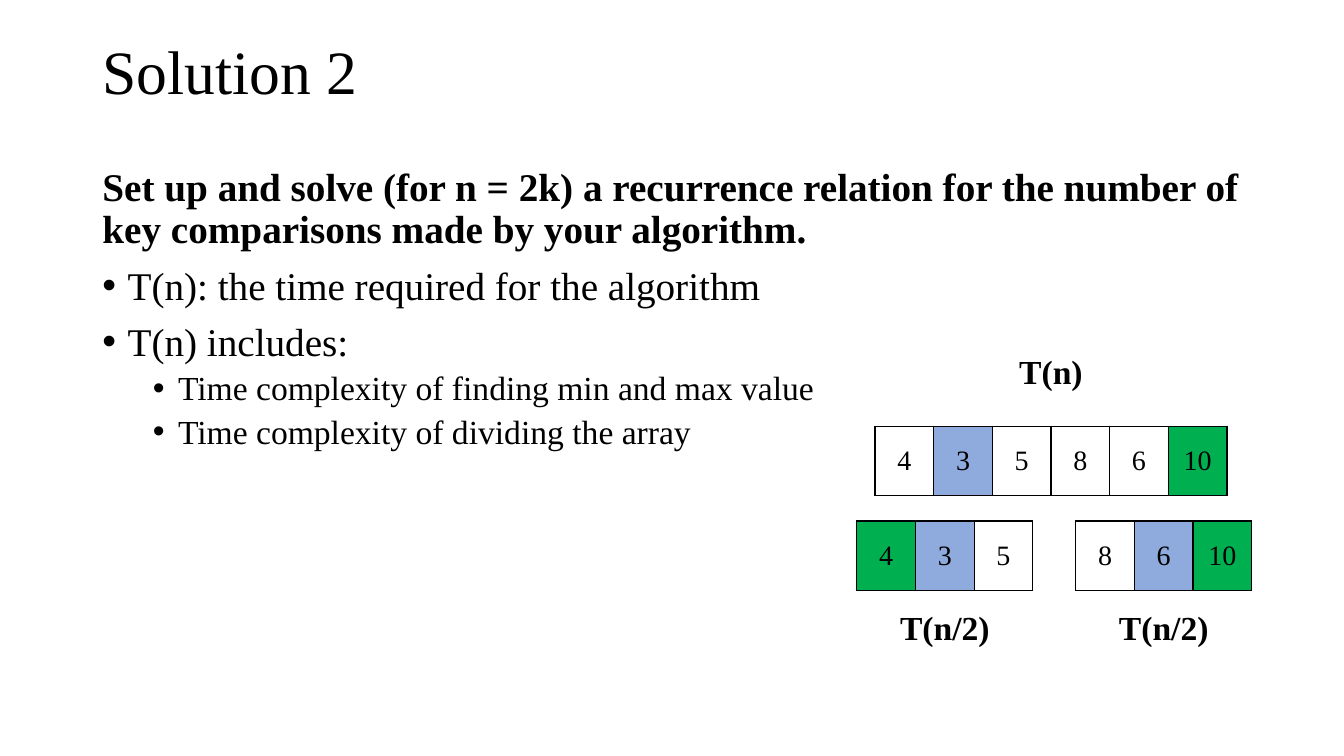
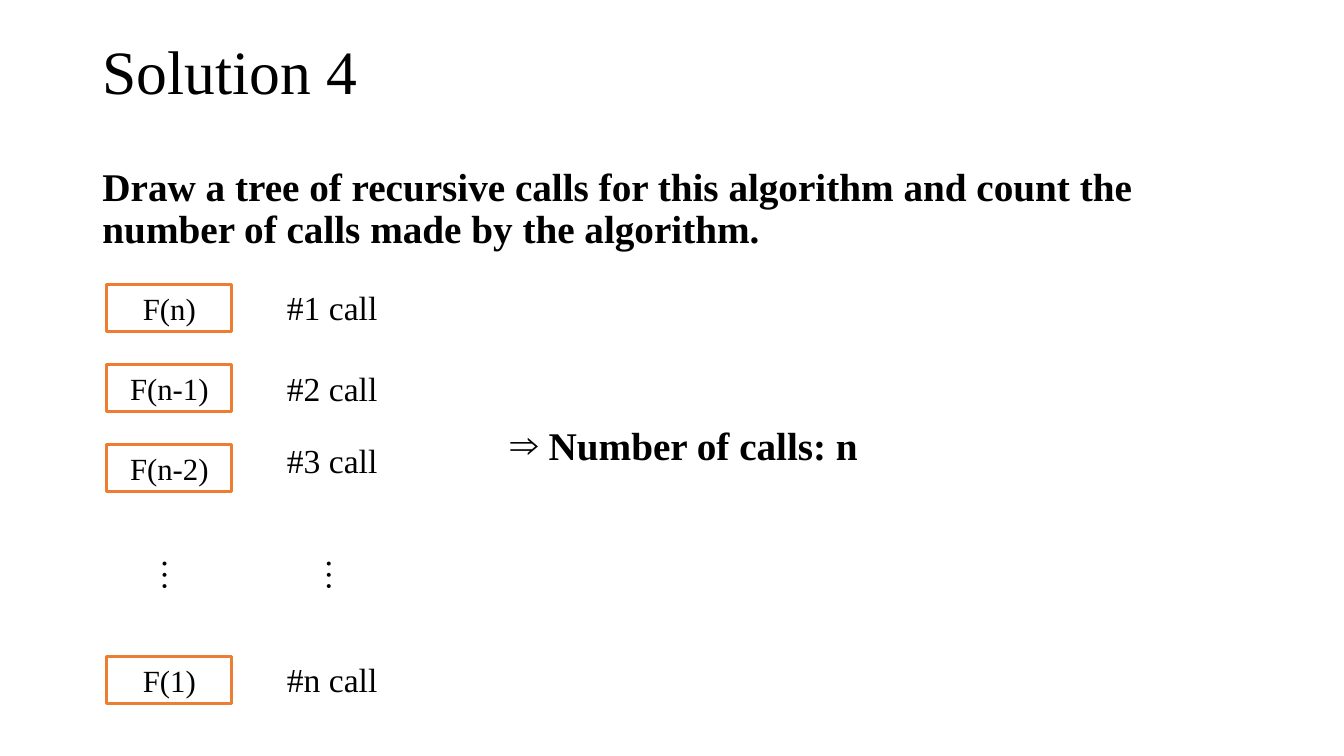
from lxml.etree import SubElement
from pptx import Presentation
from pptx.dml.color import RGBColor
from pptx.enum.shapes import MSO_SHAPE
from pptx.enum.text import MSO_ANCHOR, MSO_AUTO_SIZE, PP_ALIGN
from pptx.oxml.ns import qn
from pptx.util import Pt

FONT = "Times New Roman"
BLACK, BLUE, GREEN, ORANGE = "000000", "8FAADC", "00B050", "ED7D31"


def hue(code):
    return RGBColor.from_string(code)


def write(frame, text, size=24, bold=False, align=PP_ALIGN.CENTER, level=0,
          line=1.0, gap=0, bullet=None, left=0, hang=0):
    para = frame.paragraphs[0]
    if para.runs:
        para = frame.add_paragraph()
    para.level = level
    para.alignment = align
    para.line_spacing = line
    para.space_before = Pt(gap)
    run = para.add_run()
    run.text = text
    run.font.name = FONT
    run.font.size = Pt(size)
    run.font.bold = bold
    run.font.color.rgb = hue(BLACK)
    props = para._p.get_or_add_pPr()
    props.set("marL", str(Pt(left)))
    props.set("indent", str(Pt(-hang)))
    if bullet:
        SubElement(props, qn("a:buFont"), typeface="Arial")
        SubElement(props, qn("a:buChar"), char=bullet)
    else:
        SubElement(props, qn("a:buNone"))


deck = Presentation()
deck.slide_width, deck.slide_height = Pt(960), Pt(540)
layout = deck.slide_layouts[1]
for holder, top, high in zip(layout.placeholders, (1.4, 116), (104.4, 370)):
    holder.left, holder.top = Pt(66), Pt(top)
    holder.width, holder.height = Pt(828), Pt(high)

lead = dict(size=28, bold=True, align=PP_ALIGN.LEFT, line=0.9, gap=10)
item = dict(lead, bold=False, bullet="•", left=18, hang=18)
point = dict(item, size=24, level=1, gap=5, left=54)
pages = [
    ("Solution 2", [
        ("Set up and solve (for n = 2k) a recurrence relation for the number of "
         "key comparisons made by your algorithm.", lead),
        ("T(n): the time required for the algorithm", item),
        ("T(n) includes:", item),
        ("Time complexity of finding min and max value", point),
        ("Time complexity of dividing the array", point),
    ]),
    ("Solution 4", [
        ("Draw a tree of recursive calls for this algorithm and count the "
         "number of calls made by the algorithm.", lead),
    ]),
]
slides = []
for title, lines in pages:
    slide = deck.slides.add_slide(layout)
    write(slide.shapes.title.text_frame, title, size=44,
          align=PP_ALIGN.LEFT, line=0.9)
    body = slide.placeholders[1].text_frame
    body.auto_size = MSO_AUTO_SIZE.NONE
    for text, style in lines:
        write(body, text, **style)
    slides.append(slide)
split, calls = slides

CELL, ROW = 41.9, 49.7
arrays = [
    ("T(n)", 247, 625, 304.5, [4, 3, 5, 8, 6, 10], {1: BLUE, 5: GREEN}),
    ("T(n/2)", 430, 612, 372.2, [4, 3, 5], {0: GREEN, 1: BLUE}),
    ("T(n/2)", 430, 768.4, 372.2, [8, 6, 10], {1: BLUE, 2: GREEN}),
]
for name, high, left, top, nums, fills in arrays:
    width = CELL * len(nums)
    table = split.shapes.add_table(
        1, len(nums), Pt(left), Pt(top), Pt(width), Pt(ROW)).table
    table.first_row = table.horz_banding = False
    for col, num in enumerate(nums):
        table.columns[col].width = Pt(CELL)
        cell = table.cell(0, col)
        cell.vertical_anchor = MSO_ANCHOR.MIDDLE
        write(cell.text_frame, str(num), size=20)
        props = cell._tc.get_or_add_tcPr()
        for side in ("lnL", "lnR", "lnT", "lnB"):
            edge = SubElement(props, qn("a:" + side), w=str(Pt(1)))
            paint = SubElement(edge, qn("a:solidFill"))
            SubElement(paint, qn("a:srgbClr"), val=BLACK)
        if col in fills:
            cell.fill.solid()
            cell.fill.fore_color.rgb = hue(fills[col])
        else:
            cell.fill.background()
    label = split.shapes.add_textbox(
        Pt(left + width / 2 - 43.5), Pt(high), Pt(87), Pt(36))
    label.text_frame.word_wrap = True
    write(label.text_frame, name, bold=True)

steps = [
    ("F(n)", 203, "#1 call", 201.6),
    ("F(n-1)", 260.2, "#2 call", 259.2),
    ("F(n-2)", 317.5, "#3 call", 311),
    ("F(1)", 468.7, "#n call", 467.3),
]
for name, top, count, high in steps:
    box = calls.shapes.add_shape(
        MSO_SHAPE.RECTANGLE, Pt(76.3), Pt(top), Pt(89.3), Pt(33.9))
    box.shadow.inherit = False
    box.fill.background()
    box.line.color.rgb = hue(ORANGE)
    box.line.width = Pt(2)
    write(box.text_frame, name, size=22)
    label = calls.shapes.add_textbox(Pt(197.3), Pt(high), Pt(80), Pt(36))
    label.text_frame.word_wrap = False
    write(label.text_frame, count)

for left in (106.6, 223.9):
    dots = calls.shapes.add_textbox(Pt(left), Pt(393.1), Pt(38.9), Pt(36))
    dots.rotation = 90
    dots.text_frame.word_wrap = False
    write(dots.text_frame, "…")

total = calls.shapes.add_textbox(Pt(357.8), Pt(297.4), Pt(373.7), Pt(41))
total.text_frame.word_wrap = True
write(total.text_frame, "Number of calls: n", size=28, bold=True,
      align=PP_ALIGN.LEFT, bullet="⇒", left=27, hang=27)

deck.save("out.pptx")
